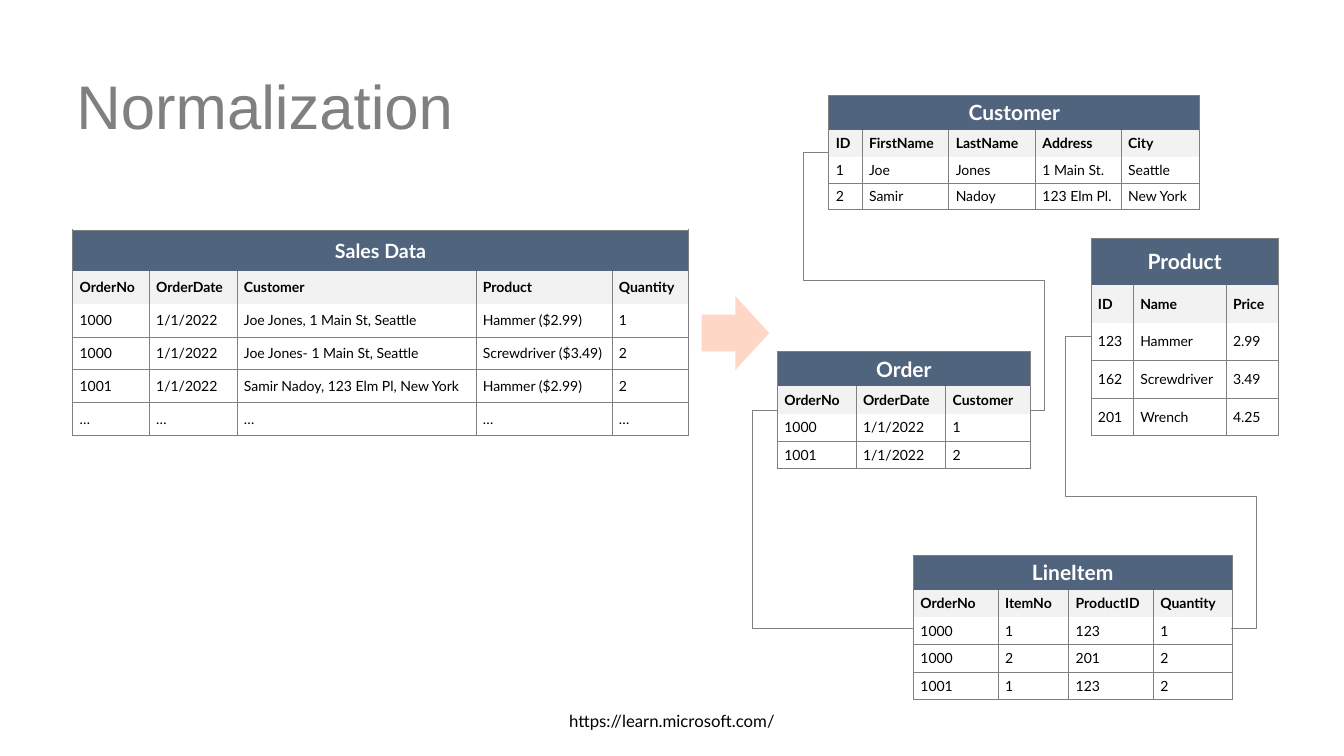
import pptx
import pptx.util
import pptx.dml.color
import pptx.enum.shapes
import pptx.enum.text
import pptx.oxml
import pptx.oxml.ns

Inches = pptx.util.Inches
Pt = pptx.util.Pt
qn = pptx.oxml.ns.qn
CENTER = pptx.enum.text.PP_ALIGN.CENTER
LEFT = pptx.enum.text.PP_ALIGN.LEFT
MIDDLE = pptx.enum.text.MSO_ANCHOR.MIDDLE
TOP = pptx.enum.text.MSO_ANCHOR.TOP

GRAY, NAVY, PALE, PEACH = "808080", "51647E", "F2F2F2", "FFD7C7"
BLACK, WHITE = "000000", "FFFFFF"
NO_STYLE = "{2D5ABB26-0587-4C30-8999-92F81FD0307C}"

TABLES = [
    {"name": "Sales Data", "size": 14, "at": (0.72, 2.28), "height": 2.04, "title_height": 0.41,
     "columns": (0.76, 0.87, 2.37, 1.35, 0.76),
     "rows": [
         ("OrderNo", "OrderDate", "Customer", "Product", "Quantity"),
         ("1000", "1/1/2022", "Joe Jones, 1 Main St, Seattle", "Hammer ($2.99)", "1"),
         ("1000", "1/1/2022", "Joe Jones- 1 Main St, Seattle", "Screwdriver ($3.49)", "2"),
         ("1001", "1/1/2022", "Samir Nadoy, 123 Elm Pl, New York", "Hammer ($2.99)", "2"),
         ("…",) * 5]},
    {"name": "Customer", "size": 15, "at": (8.22, 0.95), "height": 1.13, "title_height": 0.34,
     "columns": (0.33, 0.86, 0.86, 0.85, 0.78),
     "rows": [
         ("ID", "FirstName", "LastName", "Address", "City"),
         ("1", "Joe", "Jones", "1 Main St.", "Seattle"),
         ("2", "Samir", "Nadoy", "123 Elm Pl.", "New York")]},
    {"name": "Order", "size": 15, "at": (7.71, 3.49), "height": 1.16, "title_height": 0.34,
     "columns": (0.78, 0.89, 0.84),
     "rows": [
         ("OrderNo", "OrderDate", "Customer"),
         ("1000", "1/1/2022", "1"),
         ("1001", "1/1/2022", "2")]},
    {"name": "LineItem", "size": 15, "at": (9.06, 5.51), "height": 1.43, "title_height": 0.34,
     "columns": (0.84, 0.7, 0.84, 0.78),
     "rows": [
         ("OrderNo", "ItemNo", "ProductID", "Quantity"),
         ("1000", "1", "123", "1"),
         ("1000", "2", "201", "2"),
         ("1001", "1", "123", "2")]},
    {"name": "Product", "size": 15, "at": (10.82, 2.36), "height": 1.96, "title_height": 0.47,
     "columns": (0.42, 0.92, 0.52),
     "rows": [
         ("ID", "Name", "Price"),
         ("123", "Hammer", "2.99"),
         ("162", "Screwdriver", "3.49"),
         ("201", "Wrench", "4.25")]},
]

RELATIONS = [
    {"start": (8.22, 1.51), "end": (10.22, 4.07), "bends": (7.97, 2.78, 10.36)},
    {"start": (7.71, 4.07), "end": (9.06, 6.23), "bends": (7.46,)},
    {"start": (10.82, 3.34), "end": (12.21, 6.23), "bends": (10.57, 4.92, 12.46)},
]

LABELS = [
    ("Normalization", (0.66, 0.36, 12.02, 1.45), "Arial", 44, GRAY, LEFT, MIDDLE, 0.9),
    ("https://learn.microsoft.com/", (3.33, 7, 6.67, 0.3), "Lato", 12, BLACK, CENTER, TOP, 1.0),
]


def color(code):
    return pptx.dml.color.RGBColor.from_string(code)


def style(para, name, size, code, bold=False):
    para.font.name = name
    para.font.size = Pt(size)
    para.font.bold = bold
    para.font.color.rgb = color(code)


def add_label(page, text, place, name, size, code, align, anchor, spacing):
    frame = page.shapes.add_textbox(*map(Inches, place)).text_frame
    frame.word_wrap = True
    frame.vertical_anchor = anchor
    para = frame.paragraphs[0]
    para.text = text
    para.alignment = align
    para.line_spacing = spacing
    style(para, name, size, code)


def add_borders(cell, sides):
    properties = cell._tc.get_or_add_tcPr()
    for side in sides:
        properties.append(pptx.oxml.parse_xml(
            f'<a:ln{side} xmlns:a="http://schemas.openxmlformats.org/drawingml/2006/main" w="6350">'
            f'<a:solidFill><a:srgbClr val="{GRAY}"/></a:solidFill></a:ln{side}>'))


def fill_cell(cell, text, size, code, bold, back, sides, align):
    cell.margin_left = cell.margin_right = Inches(0.07)
    cell.margin_top = cell.margin_bottom = Inches(0.04)
    cell.vertical_anchor = MIDDLE
    add_borders(cell, sides)
    if back:
        cell.fill.solid()
        cell.fill.fore_color.rgb = color(back)
    else:
        cell.fill.background()
    para = cell.text_frame.paragraphs[0]
    para.text = text
    para.alignment = align
    style(para, "Lato", size, code, bold)


def add_data_table(page, data):
    columns, rows = data["columns"], data["rows"]
    place = (*data["at"], sum(columns), data["height"])
    table = page.shapes.add_table(len(rows) + 1, len(columns), *map(Inches, place)).table
    table.horz_banding = False
    table.first_row = False
    table._tbl.tblPr.find(qn("a:tableStyleId")).text = NO_STYLE
    for column, width in zip(table.columns, columns):
        column.width = Inches(width)
    row_height = (data["height"] - data["title_height"]) / len(rows)
    for number, row in enumerate(table.rows):
        row.height = Inches(row_height if number else data["title_height"])
    table.cell(0, 0).merge(table.cell(0, len(columns) - 1))
    for index in range(len(columns)):
        name = "" if index else data["name"]
        fill_cell(table.cell(0, index), name, data["size"], WHITE, True, NAVY, "LRT", CENTER)
    for number, values in enumerate(rows):
        header = number == 0
        for index, value in enumerate(values):
            fill_cell(table.cell(number + 1, index), value, 10, BLACK, header,
                      PALE if header else None, "LR" if header else "LRB", LEFT)


def add_relation(page, start, end, bends):
    line = page.shapes.add_connector(
        pptx.enum.shapes.MSO_CONNECTOR.ELBOW, *map(Inches, (*start, *end)))
    line.line.color.rgb = color(GRAY)
    line.line.width = Pt(0.5)
    properties = line._element.spPr
    properties.append(properties.makeelement(qn("a:effectLst"), {}))
    geometry = properties.find(qn("a:prstGeom"))
    geometry.set("prst", f"bentConnector{len(bends) + 2}")
    guides = geometry.find(qn("a:avLst"))
    for index, bend in enumerate(bends):
        axis = index % 2
        share = (bend - start[axis]) / (end[axis] - start[axis])
        guide = guides.makeelement(
            qn("a:gd"), {"name": f"adj{index + 1}", "fmla": f"val {round(share * 100000)}"})
        guides.append(guide)


def main():
    deck = pptx.Presentation()
    deck.slide_width, deck.slide_height = Inches(13.33), Inches(7.5)
    page = deck.slides.add_slide(deck.slide_layouts[6])
    for label in LABELS:
        add_label(page, *label)
    for data in TABLES:
        add_data_table(page, data)
    for relation in RELATIONS:
        add_relation(page, **relation)
    arrow = page.shapes.add_shape(
        pptx.enum.shapes.MSO_SHAPE.RIGHT_ARROW, *map(Inches, (6.96, 2.94, 0.67, 0.73)))
    arrow.shadow.inherit = False
    arrow.fill.solid()
    arrow.fill.fore_color.rgb = color(PEACH)
    arrow.line.fill.background()
    deck.save("out.pptx")


if __name__ == "__main__":
    main()
